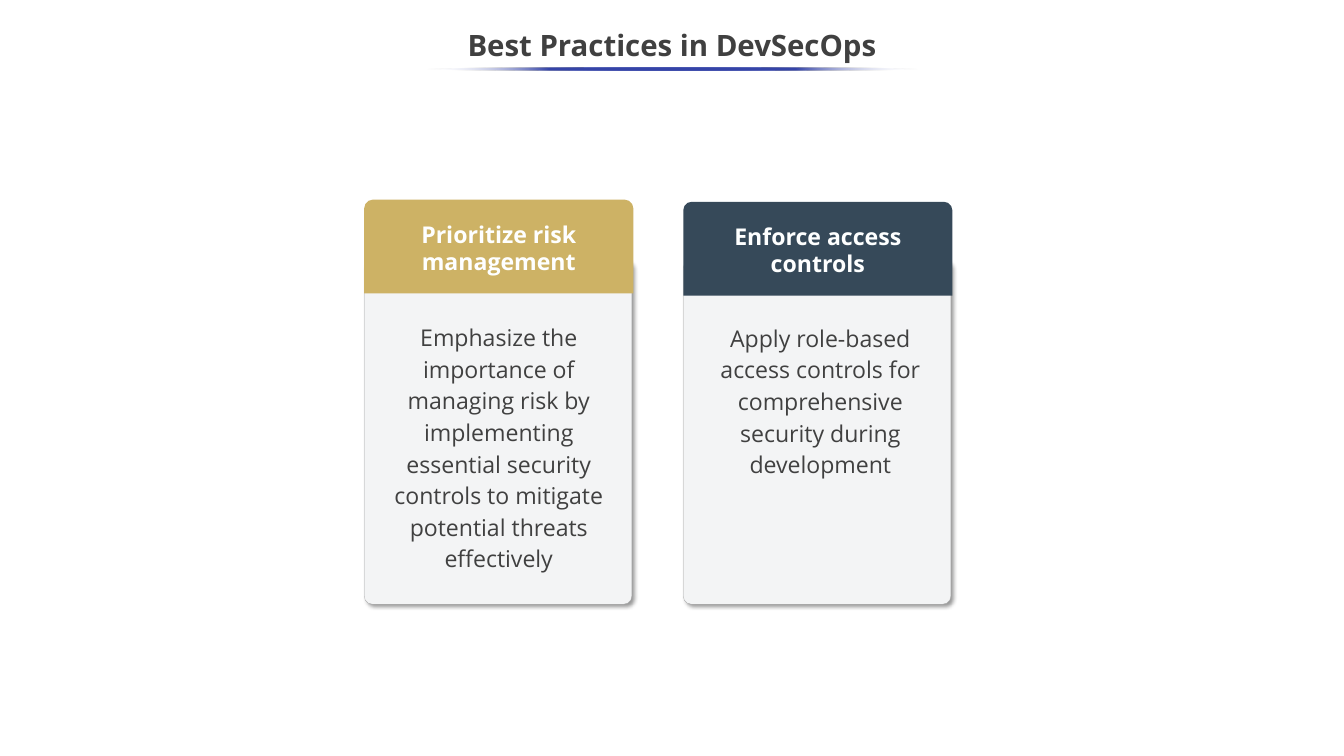
from lxml import etree
from pptx import Presentation
from pptx import util as u
from pptx.dml.color import RGBColor
from pptx.enum import shapes, text
from pptx.oxml.ns import qn

FONT = "Open Sans"
WHITE = RGBColor(0xFF, 0xFF, 0xFF)
HEADER_TEXT = RGBColor(0xFE, 0xFF, 0xFF)
INK = RGBColor(0x40, 0x40, 0x40)
PANEL = RGBColor(0xF3, 0xF4, 0xF5)
BORDER = RGBColor(0xA6, 0xA6, 0xA6)
INDIGO = RGBColor(0x36, 0x45, 0xA9)
SLATE = RGBColor(0x36, 0x49, 0x59)
GOLD = RGBColor(0xCD, 0xB2, 0x65)
BLACK = RGBColor(0, 0, 0)

# Card header, colour, header left and top, body left, top, width and height, body paragraphs
CARDS = [
    ("Enforce access controls", SLATE, 22.96, 6.78, (23.27, 10.64, 8.59, 5.56),
     ["Apply role-based access controls for comprehensive security during development"]),
    ("Prioritize risk management", GOLD, 12.24, 6.71, (11.96, 10.62, 9.6, 8.76),
     ["Emphasize the importance of\vmanaging risk by implementing",
      "essential security controls to mitigate potential threats effectively"]),
]


def write(shape, paragraphs, size, color, bold=False, spacing=None):
    frame = shape.text_frame
    frame.word_wrap = True
    frame.text = "\n".join(paragraphs)
    for para in frame.paragraphs:
        para.alignment = text.PP_ALIGN.CENTER
        para.space_before = u.Pt(0)
        if spacing:
            para.line_spacing = spacing
        for span in para.runs:
            span.font.name = FONT
            span.font.size = u.Pt(size)
            span.font.bold = bold
            span.font.color.rgb = color


def add_color(parent, color, alpha):
    node = etree.SubElement(parent, qn("a:srgbClr"), val=str(color))
    etree.SubElement(node, qn("a:alpha"), val=str(alpha * 1000))


def add_block(parent, kind, left, top, width, height, color=None):
    block = parent.shapes.add_shape(kind, u.Cm(left), u.Cm(top), u.Cm(width), u.Cm(height))
    block.shadow.inherit = False
    block.line.fill.background()
    if color is not None:
        block.fill.solid()
        block.fill.fore_color.rgb = color
    return block


def add_title(page, wording):
    title = page.shapes.title
    title.left, title.top = u.Cm(-0.03), u.Cm(0.64)
    title.width, title.height = u.Cm(45.21), u.Cm(1.9)
    title.text_frame.vertical_anchor = text.MSO_ANCHOR.MIDDLE
    write(title, [wording], 28, INK, bold=True, spacing=0.9)


def add_underline(page):
    rule = add_block(page, shapes.MSO_SHAPE.OVAL, 14.33, 2.26, 16.54, 0.1)
    rule.fill.gradient()
    rule.fill.gradient_angle = 180
    stops = rule.element.spPr.find(".//" + qn("a:gsLst"))
    for stop in list(stops):
        stops.remove(stop)
    for position in range(0, 101, 25):
        stop = etree.SubElement(stops, qn("a:gs"), pos=str(position * 1000))
        at_end = position in (0, 100)
        add_color(stop, WHITE if at_end else INDIGO, 0 if at_end else 100)


def add_shadow(shape):
    effects = shape.element.spPr.find(qn("a:effectLst"))
    shadow = etree.SubElement(effects, qn("a:outerShdw"), blurRad=str(u.Pt(4)),
                              dist=str(u.Pt(3)), dir=str(45 * 60000),
                              algn="tl", rotWithShape="0")
    add_color(shadow, BLACK, 40)


def add_card(page, heading, color, left, top, body_area, paragraphs):
    card = page.shapes.add_group_shape()

    # Panel
    panel = add_block(card, shapes.MSO_SHAPE.ROUNDED_RECTANGLE, left, 8.74, 8.99, 11.56, PANEL)
    panel.adjustments[0] = 0.03
    panel.line.color.rgb = BORDER
    panel.line.width = u.Pt(0.25)
    add_shadow(panel)

    # Header with rounded top corners
    header = add_block(card, shapes.MSO_SHAPE.ROUND_2_SAME_RECTANGLE,
                       left, top, 9.04, 3.15, color)
    header.adjustments[0] = 0.09
    frame = header.text_frame
    frame.margin_left = frame.margin_right = u.Cm(0.1)
    frame.margin_top = frame.margin_bottom = u.Cm(0.1)
    frame.vertical_anchor = text.MSO_ANCHOR.MIDDLE
    write(header, [heading], 22, HEADER_TEXT, bold=True)

    # Body
    body = card.shapes.add_textbox(*(u.Cm(length) for length in body_area))
    write(body, paragraphs, 22, INK, spacing=1.14)


def main():
    deck = Presentation()
    deck.slide_width, deck.slide_height = u.Cm(45.16), u.Cm(25.4)
    page = deck.slides.add_slide(deck.slide_layouts[5])
    add_title(page, "Best Practices in DevSecOps")
    add_underline(page)
    for card in CARDS:
        add_card(page, *card)
    deck.save("out.pptx")


if __name__ == "__main__":
    main()
